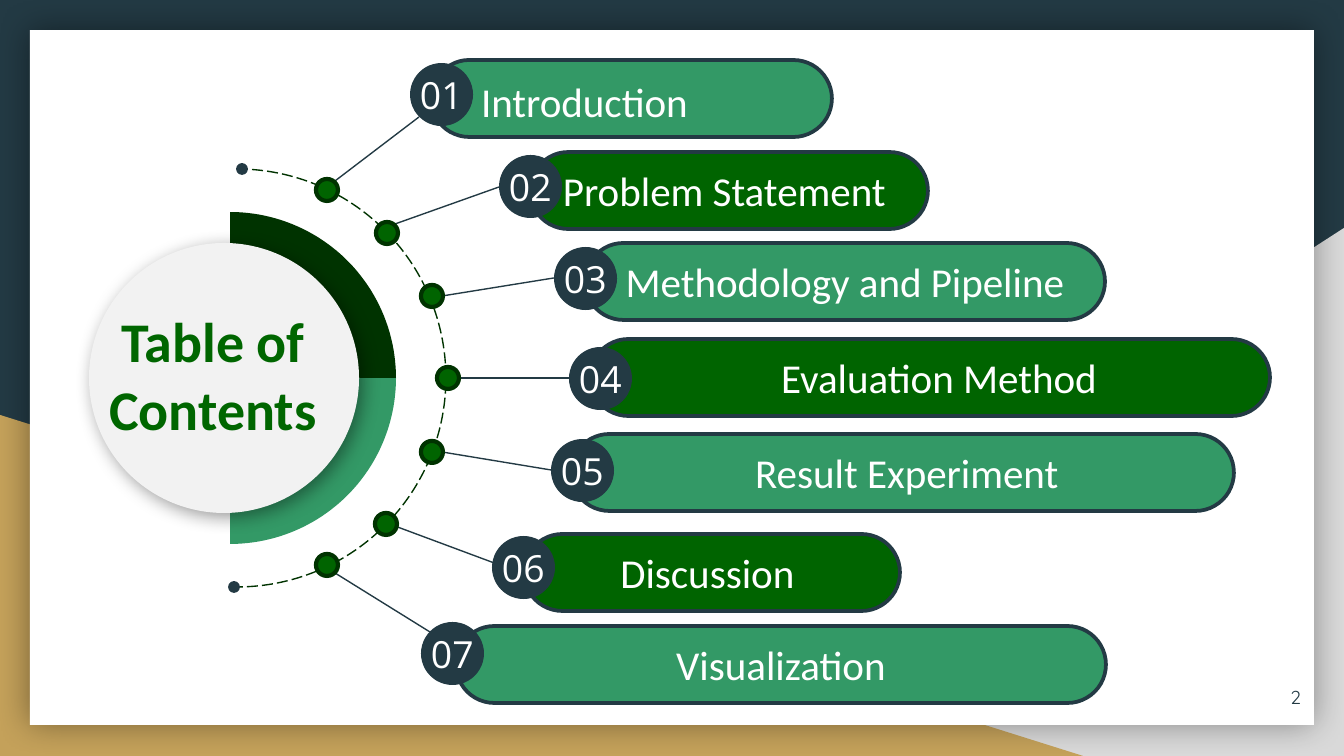
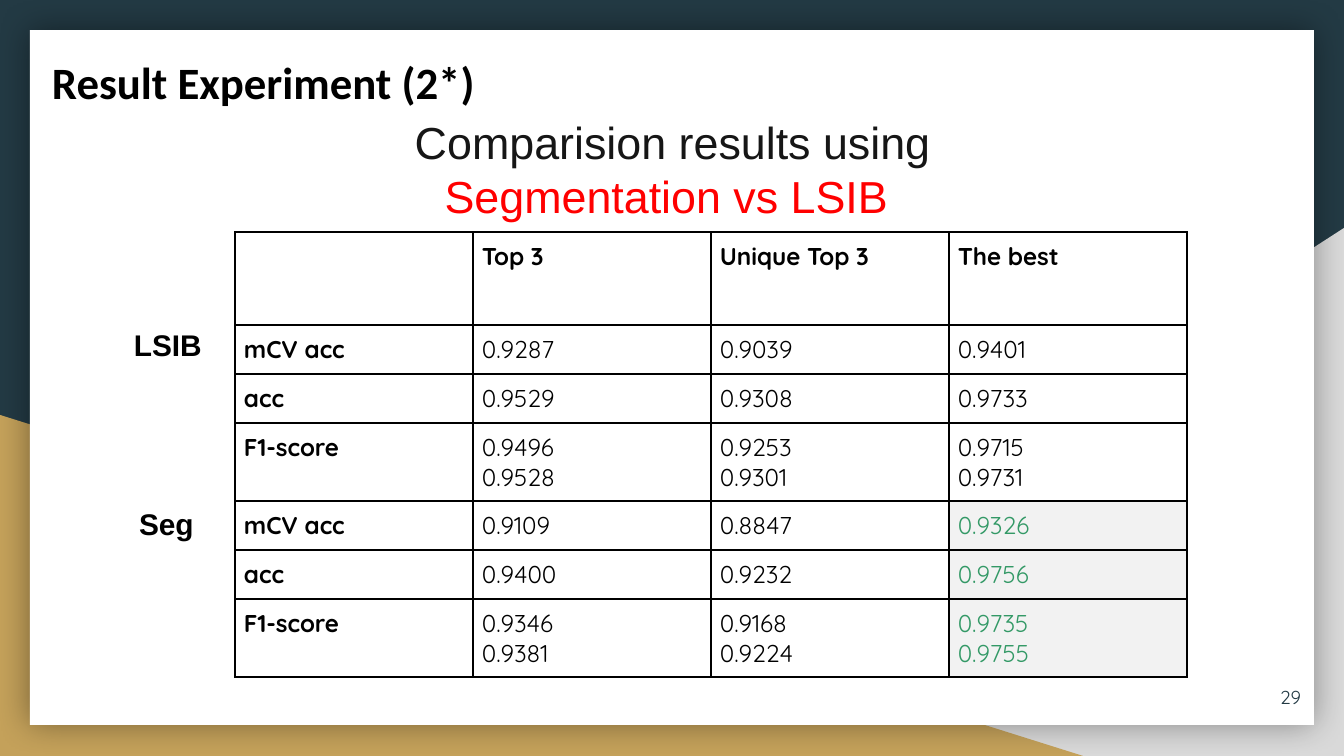
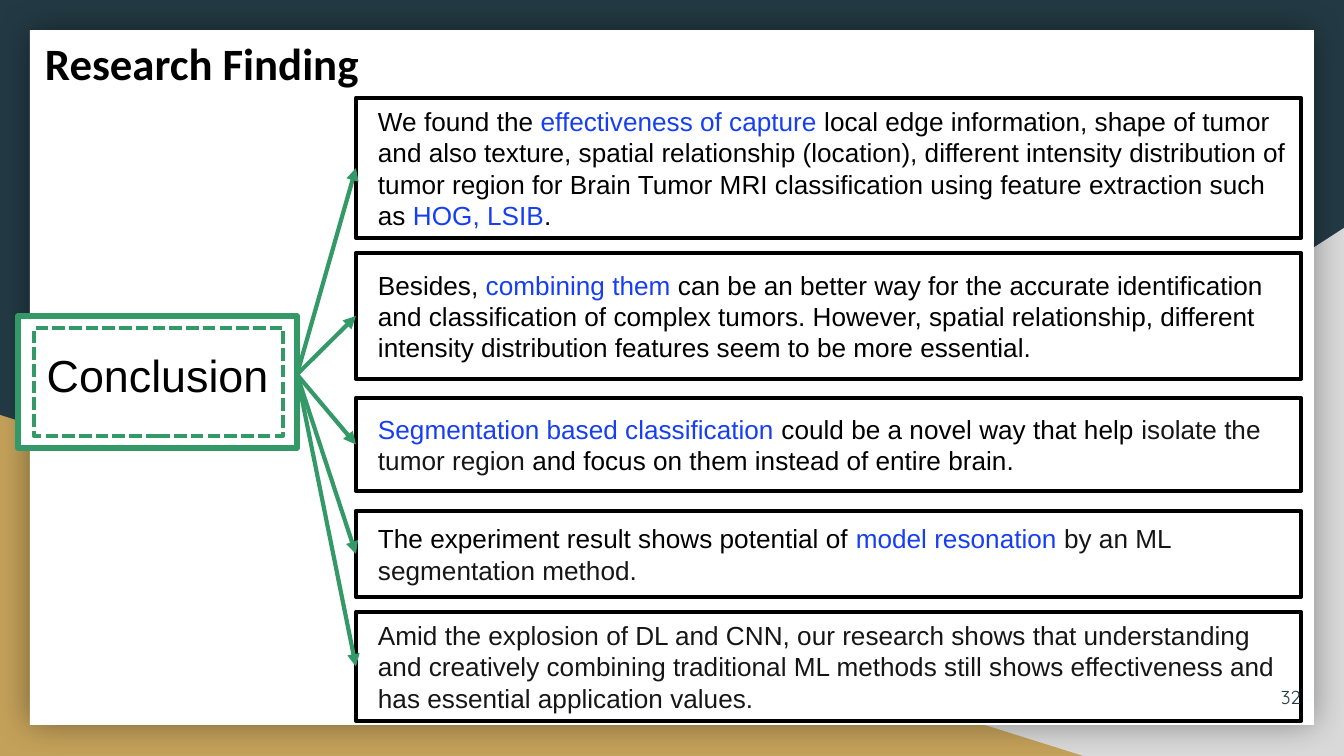
from math import cos, pi, sin

from lxml import etree
from pptx import Presentation
from pptx.dml.color import RGBColor
from pptx.enum.dml import MSO_LINE
from pptx.enum.shapes import MSO_CONNECTOR, MSO_SHAPE
from pptx.enum.text import MSO_ANCHOR, PP_ALIGN
from pptx.oxml.ns import qn
from pptx.util import Pt

PX = 914400 / 134.4
WIDTH, HEIGHT = 1344, 756

NAVY = RGBColor(0x23, 0x3A, 0x44)
GOLD = RGBColor(0xC4, 0xA1, 0x5A)
SILVER = RGBColor(0xD9, 0xD9, 0xD9)
PALE = RGBColor(0xF2, 0xF2, 0xF2)
WHITE = RGBColor(0xFF, 0xFF, 0xFF)
BLACK = RGBColor(0x00, 0x00, 0x00)
INK = RGBColor(0x16, 0x16, 0x16)
RED = RGBColor(0xFF, 0x00, 0x00)
BLUE = RGBColor(0x16, 0x3E, 0xF5)
DARK_GREEN = RGBColor(0x00, 0x33, 0x00)
GREEN = RGBColor(0x00, 0x64, 0x00)
HEADING_GREEN = RGBColor(0x00, 0x66, 0x00)
LIGHT_GREEN = RGBColor(0x33, 0x99, 0x66)

RECTANGLE, PILL, OVAL = MSO_SHAPE.RECTANGLE, MSO_SHAPE.ROUNDED_RECTANGLE, MSO_SHAPE.OVAL
TRIANGLE, ARC = MSO_SHAPE.RIGHT_TRIANGLE, MSO_SHAPE.ARC
STRAIGHT = MSO_CONNECTOR.STRAIGHT
LONG_DASH, SHORT_DASH = MSO_LINE.LONG_DASH, MSO_LINE.SQUARE_DOT
LEFT, CENTER, RIGHT = PP_ALIGN.LEFT, PP_ALIGN.CENTER, PP_ALIGN.RIGHT
TOP, MIDDLE = MSO_ANCHOR.TOP, MSO_ANCHOR.MIDDLE

CONTENTS = [
    # label, indent, pill, badge, dot, line start, line end
]
CONTENTS = [
    ("", 0, (431, 60, 401), (410, 63), (316, 179), (335, 181), (419, 117)),
    ("Problem Statement", -9, (530, 152, 398), (499, 155), (376, 222), (395, 224), (499, 187)),
    ("Methodology and Pipeline", 0, (585, 243, 520), (554, 247), (421, 285), (442, 296), (554, 278)),
    ("Evaluation Method", 18, (590, 339, 680), (569, 347), (437, 367), (458, 378), (569, 378)),
    ("Result Experiment", 9, (571, 434, 663), (551, 439), (421, 441), (442, 452), (551, 470)),
    ("Discussion", -9, (524, 534, 376), (492, 536), (375, 513), (376, 519), (513, 570)),
    ("Visualization", 0, (456, 626, 650), (421, 622), (316, 554), (335, 573), (430, 632)),
]

RESULTS = [
    ["", "Top 3", "Unique Top 3", "The best"],
    ["mCV acc", "0.9287", "0.9039", "0.9401"],
    ["acc", "0.9529", "0.9308", "0.9733"],
    ["F1-score", "0.9496\n0.9528", "0.9253\n0.9301", "0.9715\n0.9731"],
    ["mCV acc", "0.9109", "0.8847", "0.9326"],
    ["acc", "0.9400", "0.9232", "0.9756"],
    ["F1-score", "0.9346\n0.9381", "0.9168\n0.9224", "0.9735\n0.9755"],
]
ROW_HEIGHTS = [93, 49, 49, 78, 49, 49, 78]
FIRST_SEG_ROW = 4

FINDINGS = [
    (98, 140, [
        ("We found the ", BLACK), ("effectiveness of capture", BLUE),
        (" local edge information, shape of tumor and also texture, spatial relationship "
         "(location), different intensity distribution of tumor region for Brain Tumor MRI "
         "classification using feature extraction such as ", BLACK),
        ("HOG, LSIB", BLUE), (".", BLACK)]),
    (253, 126, [
        ("Besides, ", BLACK), ("combining them", BLUE),
        (" can be an better way for the accurate identification and classification of complex "
         "tumors. However, spatial relationship, different intensity distribution features "
         "seem to be more essential.", BLACK)]),
    (398, 93, [
        ("Segmentation based classification", BLUE), (" could be a novel way that help ", BLACK),
        ("isolate the tumor region ", INK),
        ("and focus on them instead of entire brain.", BLACK)]),
    (511, 86, [
        ("The experiment result shows potential of ", BLACK), ("model resonation ", BLUE),
        ("by an ML segmentation method.", INK)]),
    (612, 109, [
        ("Amid the explosion of DL and CNN, our research shows that understanding and "
         "creatively combining traditional ML methods still shows effectiveness and has "
         "essential application values.", INK)]),
]


def px(*lengths):
    return [round(length * PX) for length in lengths]


def style_span(span, font, size, color, bold=False):
    span.font.name = font
    span.font.size = Pt(size)
    span.font.color.rgb = color
    span.font.bold = bold


def paint(shape, fill=None, line=None, weight=1, dash=None):
    shape.shadow.inherit = False
    if fill is None:
        shape.fill.background()
    else:
        shape.fill.solid()
        shape.fill.fore_color.rgb = fill
    if line is None:
        shape.line.fill.background()
    else:
        shape.line.color.rgb = line
        shape.line.width = Pt(weight)
        if dash is not None:
            shape.line.dash_style = dash


def add_shape(page, kind, box, *look, **options):
    shape = page.shapes.add_shape(kind, *px(*box))
    paint(shape, *look, **options)
    return shape


def add_shadow(shape, blur, distance, angle):
    effects = shape._element.spPr.find(qn("a:effectLst"))
    shadow = etree.SubElement(effects, qn("a:outerShdw"), blurRad=str(Pt(blur)),
                              dist=str(Pt(distance)), dir=str(angle * 60000),
                              algn="ctr", rotWithShape="0")
    color = etree.SubElement(shadow, qn("a:srgbClr"), val=str(BLACK))
    etree.SubElement(color, qn("a:alpha"), val="40000")


def write(shape, paragraphs, font, size, bold=False, align=LEFT, anchor=TOP, insets=(13, 7)):
    frame = shape.text_frame
    frame.word_wrap = True
    frame.vertical_anchor = anchor
    side, edge = px(*insets)
    frame.margin_left = frame.margin_right = side
    frame.margin_top = frame.margin_bottom = edge
    for index, spans in enumerate(paragraphs):
        para = frame.add_paragraph() if index else frame.paragraphs[0]
        para.alignment = align
        for text, color in spans:
            span = para.add_run()
            span.text = text
            style_span(span, font, size, color, bold)
    return shape


def add_text(page, box, paragraphs, font, size, **options):
    return write(page.shapes.add_textbox(*px(*box)), paragraphs, font, size, **options)


def add_line(page, start, end, color, weight):
    line = page.shapes.add_connector(STRAIGHT, *px(*start, *end))
    line.line.color.rgb = color
    line.line.width = Pt(weight)
    etree.SubElement(line._element.spPr, qn("a:effectLst"))
    return line


def add_page(deck):
    page = deck.slides.add_slide(deck.slide_layouts[6])
    page.background.fill.solid()
    page.background.fill.fore_color.rgb = NAVY
    right_triangle = add_shape(page, TRIANGLE, (527, 228, 817, 528), SILVER)
    right_triangle._element.spPr.find(qn("a:xfrm")).set("flipH", "1")
    add_shape(page, TRIANGLE, (0, 415, 1083, 341), GOLD)
    panel = add_shape(page, RECTANGLE, (30, 30, 1284, 695), WHITE)
    add_shadow(panel, 18, 0, 0)
    return page


def add_page_number(page, number):
    add_text(page, (1234, 668, 80, 58), [[(number, NAVY)]], "Quicksand", 10,
             align=RIGHT, anchor=MIDDLE, insets=(13, 13))


def add_title(page, left, top, title):
    add_text(page, (left, top, 558, 82), [[(title, BLACK)]], "Calibri", 24,
             bold=True, insets=(32, 13))


def add_quarter(page, center, radius, start_degree, color):
    steps = 45
    angles = [(start_degree + 90 * step / steps) * pi / 180 for step in range(steps + 1)]
    x, y = center
    rim = [px(x + radius * cos(angle), y + radius * sin(angle)) for angle in angles]
    builder = page.shapes.build_freeform(*px(x, y))
    builder.add_line_segments(rim, close=True)
    paint(builder.convert_to_shape(), color)


def add_dial(page, center):
    x, y = center
    add_quarter(page, center, 166, 270, DARK_GREEN)
    add_quarter(page, center, 166, 0, LIGHT_GREEN)
    disc = add_shape(page, OVAL, (x - 141, y - 135, 270, 270), PALE)
    add_shadow(disc, 10, 3, 45)
    heading = [[("Table of", HEADING_GREEN)], [("Contents", HEADING_GREEN)]]
    add_text(page, (x - 152, y - 78, 270, 149), heading, "Calibri", 30,
             bold=True, align=CENTER)


def add_orbit(page, center):
    x, y = center
    orbit = add_shape(page, ARC, (x - 202, y - 209, 418, 418), None, DARK_GREEN,
                      weight=0.75, dash=LONG_DASH)
    orbit.adjustments[0] = 162
    orbit.adjustments[1] = 54.465
    for left, top in ((x + 8, y - 213), (x, y + 205)):
        add_shape(page, OVAL, (left, top, 8, 8), NAVY, NAVY, weight=2)


def add_content_row(page, number, label, indent, pill_box, badge, dot, start, end):
    add_line(page, start, end, NAVY, 0.75)
    add_shape(page, OVAL, (*dot, 22, 22), GREEN, DARK_GREEN, weight=2.25)
    pill = add_shape(page, PILL, (*pill_box, 77), GREEN if number % 2 == 0 else LIGHT_GREEN,
                     NAVY, weight=2)
    pill.adjustments[0] = 0.5
    if label:
        write(pill, [[(label, WHITE)]], "Calibri", 22, align=CENTER, anchor=MIDDLE)
        pill.text_frame.margin_left = px(13 + indent)[0]
    left, top = badge
    add_shape(page, OVAL, (left, top, 63, 63), NAVY)
    add_text(page, (left - 3, top + 2, 71, 59), [[(f"{number:02}", WHITE)]], "Open Sans", 20)


def build_contents(deck):
    page = add_page(deck)
    center = (230, 378)
    add_orbit(page, center)
    for number, row in enumerate(CONTENTS, 1):
        add_content_row(page, number, *row)
    add_text(page, (468, 69, 246, 63), [[("Introduction", WHITE)]], "Calibri", 22)
    add_dial(page, center)
    add_page_number(page, "2")


def add_borders(cell):
    properties = cell._tc.get_or_add_tcPr()
    for side in ("lnL", "lnR", "lnT", "lnB"):
        border = etree.SubElement(properties, qn(f"a:{side}"), w=str(Pt(1)))
        fill = etree.SubElement(border, qn("a:solidFill"))
        etree.SubElement(fill, qn("a:srgbClr"), val=str(BLACK))


def fill_cell(cell, text, heading, highlighted):
    add_borders(cell)
    if highlighted:
        cell.fill.solid()
        cell.fill.fore_color.rgb = PALE
    else:
        cell.fill.background()
    inset = px(9)[0]
    cell.margin_left = cell.margin_right = cell.margin_top = cell.margin_bottom = inset
    cell.text_frame.text = text
    for para in cell.text_frame.paragraphs:
        for span in para.runs:
            style_span(span, "Quicksand", 13, LIGHT_GREEN if highlighted else BLACK, heading)


def add_results_table(page, box):
    rows, columns = len(RESULTS), len(RESULTS[0])
    table = page.shapes.add_table(rows, columns, *px(*box)).table
    table.first_row = table.horz_banding = False
    for column in table.columns:
        column.width = px(box[2] / columns)[0]
    for row_index, values in enumerate(RESULTS):
        table.rows[row_index].height = px(ROW_HEIGHTS[row_index])[0]
        for column_index, value in enumerate(values):
            highlighted = row_index >= FIRST_SEG_ROW and column_index == columns - 1
            heading = row_index == 0 or column_index == 0
            fill_cell(table.cell(row_index, column_index), value, heading, highlighted)


def build_results(deck):
    page = add_page(deck)
    add_title(page, 20, 42, "Result Experiment (2*)")
    caption = [[("Comparision results using ", INK), ("Segmentation vs LSIB ", RED)]]
    add_text(page, (372, 108, 601, 122), caption, "Arial", 24, align=CENTER)
    add_results_table(page, (235, 232, 952, sum(ROW_HEIGHTS)))
    for label, box in (("LSIB", (121, 320, 114, 50)), ("Seg", (126, 499, 103, 50))):
        add_text(page, box, [[(label, BLACK)]], "Arial", 16, bold=True)
    add_page_number(page, "29")


def add_conclusion(page, box):
    left, top, width, height = box
    add_shape(page, RECTANGLE, box, WHITE, LIGHT_GREEN, weight=3)
    add_shape(page, RECTANGLE, (left + 16, top + 12, width - 30, height - 24),
              WHITE, LIGHT_GREEN, weight=2.25, dash=SHORT_DASH)
    return add_text(page, (left, top + 25, width, 67), [[("Conclusion", BLACK)]],
                    "Arial", 24, align=CENTER)


def add_finding(page, box, spans):
    left, top, width, height = box
    frame = add_shape(page, RECTANGLE, box, WHITE, BLACK, weight=2.25)
    add_text(page, (left + 9, top, width - 8, height), [spans], "Arial", 14, anchor=MIDDLE)
    return frame


def add_arrow(page, source, target):
    arrow = add_line(page, (0, 0), (0, 0), LIGHT_GREEN, 2.25)
    arrow.begin_connect(source, 3)
    arrow.end_connect(target, 1)
    etree.SubElement(arrow.line._get_or_add_ln(), qn("a:tailEnd"), type="triangle")


def build_findings(deck):
    page = add_page(deck)
    frames = [add_finding(page, (356, top, 945, height), spans)
              for top, height, spans in FINDINGS]
    add_title(page, 13, 23, "Research Finding")
    conclusion = add_conclusion(page, (18, 316, 279, 132))
    add_page_number(page, "32")
    for frame in frames:
        add_arrow(page, conclusion, frame)


def main():
    deck = Presentation()
    deck.slide_width, deck.slide_height = px(WIDTH, HEIGHT)
    build_contents(deck)
    build_results(deck)
    build_findings(deck)
    deck.save("out.pptx")


if __name__ == "__main__":
    main()
